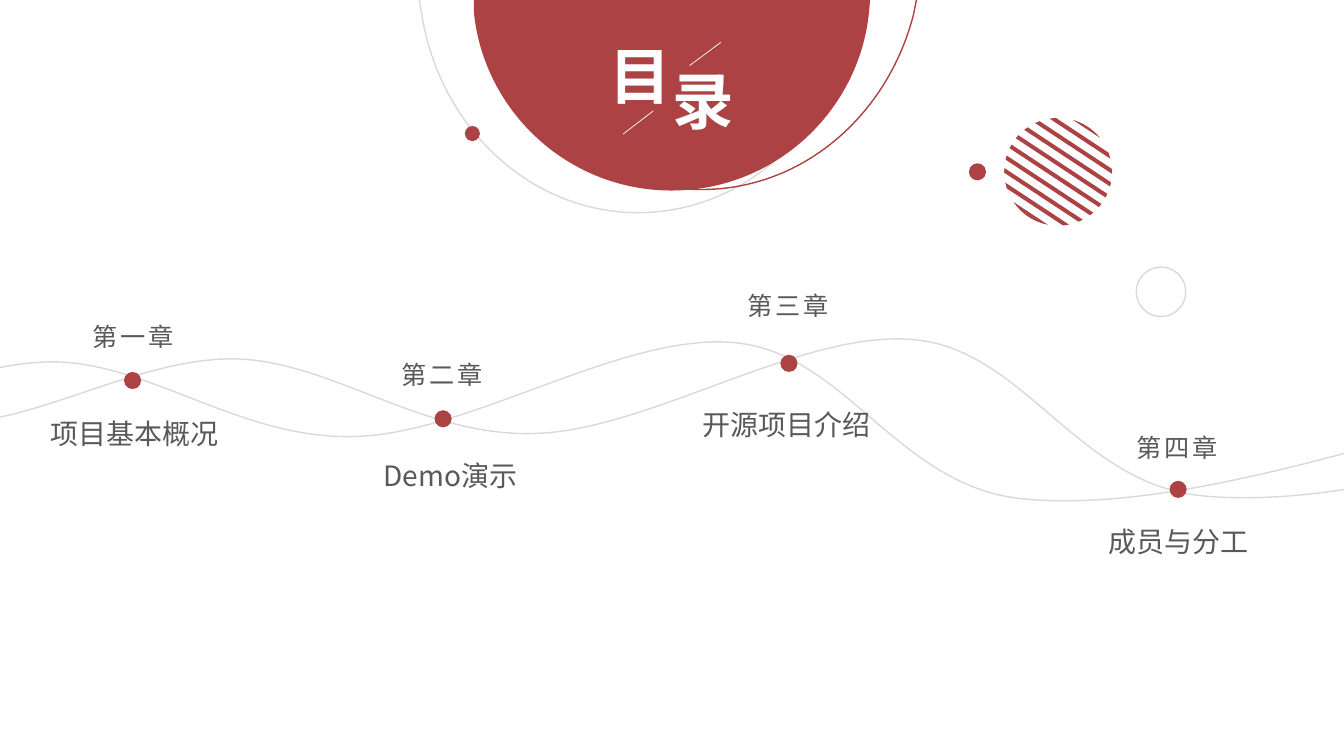
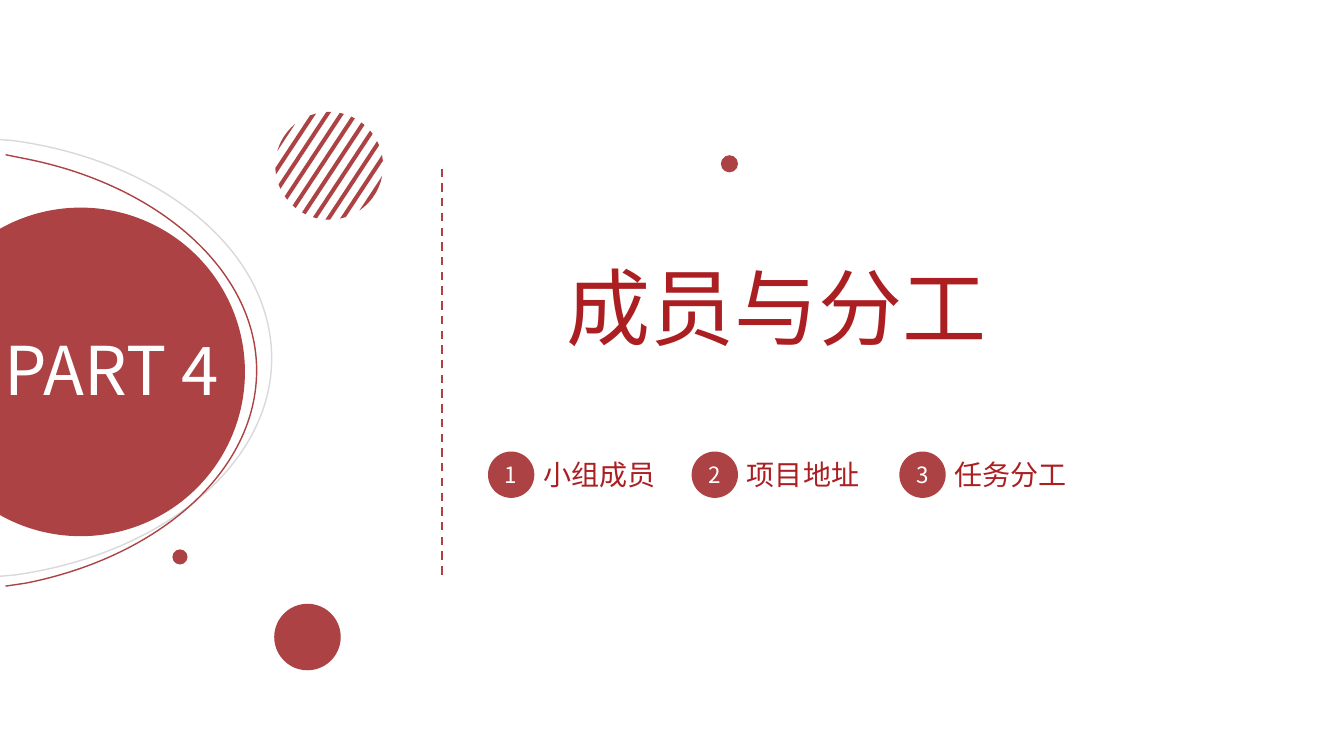
import math
import pptx
import pptx.util
import pptx.dml.color
import pptx.enum.dml
import pptx.enum.shapes
import pptx.enum.text
import pptx.oxml.ns
from lxml import etree

PX = 9144
W, H = 1333, 750
FONT = "Noto Sans CJK SC"
RED, CRIMSON, GREY, TEXT, WHITE = "AC4243", "AB1E21", "D9D9D9", "595959", "FFFFFF"
ALIGN = pptx.enum.text.PP_ALIGN

CHAPTERS = [
    ("第一章", (80, 314, 104, 40), (123, 369), "项目基本概况", (40, 408, 187, 44), False),
    ("第二章", (387, 352, 103, 40), (431, 407), "Demo演示", (343, 450, 208, 44), True),
    ("第三章", (730, 283, 103, 40), (774, 352), "开源项目介绍", (676, 399, 208, 44), True),
    ("第四章", (1116, 424, 103, 40), (1160, 477), "成员与分工", (1089, 515, 159, 44), False),
]
TITLE_CHARS = [("目", 593, 33), ("录", 656, 58)]
TITLE_STROKES = [(618, 133, 648, 110), (684, 65, 715, 42)]
TOPICS = [("小组成员", 484), ("项目地址", 686), ("任务分工", 892)]

WAVE = [
    (-270, 344),
    (-201, 380, -132, 417, -49, 419), (35, 421, 136, 355, 233, 356),
    (329, 358, 419, 434, 531, 430), (644, 427, 797, 326, 907, 337),
    (1017, 347, 1069, 481, 1194, 492), (1319, 504, 1487, 455, 1656, 406),
]
WAVE_SHIFTS = [(0, 0), (-178, 3)]
GREY_BOWL = [(850, 0), (848, 18), (828, 128, 739, 211, 633, 211),
             (527, 211, 438, 128, 419, 18), (416, 0)]
RED_BOWL = [(909, 0), (906, 15), (880, 115, 796, 188, 696, 188),
            (597, 188, 513, 115, 486, 15), (483, 0)]
TITLE_DISC = [(470, 0), (863, 0), (862, 12), (852, 111, 768, 189, 666, 189),
              (564, 189, 480, 111, 470, 12)]
GREY_ARC = [(347, 215), (345, 239), (325, 385, 236, 495, 129, 495),
            (23, 495, -66, 385, -86, 239), (-88, 215)]
RED_ARC = [(344, 243), (340, 263), (314, 395, 229, 492, 130, 492),
           (30, 492, -55, 395, -81, 263), (-84, 243)]


def px(n):
    return round(n * PX)


def rgb(value):
    return pptx.dml.color.RGBColor.from_string(value)


def paint(sp, fill=None, line=None, width=1):
    sp.shadow.inherit = False
    if fill:
        sp.fill.solid()
        sp.fill.fore_color.rgb = rgb(fill)
    else:
        sp.fill.background()
    if line:
        sp.line.color.rgb = rgb(line)
        sp.line.width = pptx.util.Pt(width)
    else:
        sp.line.fill.background()


def write(tf, text, size, color, align=ALIGN.CENTER, bold=False, spacing=0):
    p = tf.paragraphs[0]
    p.alignment = align
    r = p.add_run()
    r.text = text
    r.font.size = pptx.util.Pt(size)
    r.font.bold = bold
    r.font.name = FONT
    r.font.color.rgb = rgb(color)
    rpr = r.font._element
    etree.SubElement(rpr, pptx.oxml.ns.qn("a:ea")).set("typeface", FONT)
    if spacing:
        rpr.set("spc", str(spacing * 100))


def add_text(s, box, text, size, color, wrap=False, **style):
    tf = s.shapes.add_textbox(*map(px, box)).text_frame
    tf.word_wrap = wrap
    tf.auto_size = pptx.enum.text.MSO_AUTO_SIZE.SHAPE_TO_FIT_TEXT
    write(tf, text, size, color, **style)


def add_circle(s, x, y, d, fill=RED, line=None):
    sp = s.shapes.add_shape(pptx.enum.shapes.MSO_SHAPE.OVAL, px(x), px(y), px(d), px(d))
    paint(sp, fill, line)
    return sp


def add_line(s, ends, color, width, dash=None):
    cn = s.shapes.add_connector(pptx.enum.shapes.MSO_CONNECTOR.STRAIGHT, *map(px, ends))
    cn.line.color.rgb = rgb(color)
    cn.line.width = pptx.util.Pt(width)
    if dash:
        cn.line.dash_style = dash
    etree.SubElement(cn._element.spPr, pptx.oxml.ns.qn("a:effectLst"))


def add_outline(s, contours, closed=False, rotation=0, **style):
    anchors = [[(px(step[-2]), px(step[-1])) for step in steps] for steps in contours]
    fb = s.shapes.build_freeform(*anchors[0][0], scale=1.0)
    for i, points in enumerate(anchors):
        if i:
            fb.move_to(*points[0])
        fb.add_line_segments(points[1:], close=closed)
    sp = fb.convert_to_shape()
    bend(sp, [step for steps in contours for step in steps[1:]])
    paint(sp, **style)
    sp.rotation = rotation


def bend(sp, steps):
    segments = list(sp._element.iter(pptx.oxml.ns.qn("a:lnTo")))
    for segment, step in zip(segments, steps):
        if len(step) == 6:
            curve = etree.Element(pptx.oxml.ns.qn("a:cubicBezTo"))
            for x, y in zip(step[::2], step[1::2]):
                pt = etree.SubElement(curve, pptx.oxml.ns.qn("a:pt"))
                pt.set("x", str(px(x) - sp.left))
                pt.set("y", str(px(y) - sp.top))
            segment.getparent().replace(segment, curve)


def add_striped_disc(s, x, y, rotation, d=107, first=-55, pitch=11.6, thick=4, bands=10):
    radius = d / 2
    contours = []
    for k in range(bands):
        top = first + k * pitch
        low, high = (math.asin(max(-1, min(1, v / radius))) for v in (top, top + thick))
        cuts = 3 if k in (0, bands - 1) else 1
        angles = [low + (high - low) * i / cuts for i in range(cuts + 1)]
        right = [(radius * math.cos(a), radius * math.sin(a)) for a in angles]
        left = [(-u, v) for u, v in reversed(right)]
        contours.append([(x + radius + u, y + radius + v) for u, v in right + left])
    add_outline(s, contours, closed=True, rotation=rotation, fill=RED)


def build_contents(s):
    add_striped_disc(s, 996, 117, 33.4)
    for shift in WAVE_SHIFTS:
        wave = [tuple(n + shift[i % 2] for i, n in enumerate(step)) for step in WAVE]
        add_outline(s, [wave], line=GREY)
    add_circle(s, 961, 162, 17)
    add_outline(s, [GREY_BOWL], line=GREY)
    add_outline(s, [RED_BOWL], line=RED)
    add_outline(s, [TITLE_DISC], closed=True, fill=RED)
    for char, x, y in TITLE_CHARS:
        add_text(s, (x, y, 84, 84), char, 44, WHITE, bold=True)
    for stroke in TITLE_STROKES:
        add_line(s, stroke, WHITE, 0.5)
    add_circle(s, 461, 125, 15)
    add_circle(s, 1127, 265, 49, WHITE, GREY)
    for label, label_box, dot, name, name_box, wrap in CHAPTERS:
        add_text(s, label_box, label, 18, TEXT, spacing=2)
        add_circle(s, *dot, 17)
        add_text(s, name_box, name, 20, TEXT, wrap=wrap)


def build_part(s):
    add_outline(s, [GREY_ARC], rotation=270, line=GREY)
    add_outline(s, [RED_ARC], rotation=270, line=RED)
    add_circle(s, -83, 206, 326)
    add_line(s, (438, 570, 438, 163), RED, 1.5, pptx.enum.dml.MSO_LINE.DASH)
    add_text(s, (552, 249, 437, 111), "成员与分工", 60, CRIMSON)
    for number, (topic, x) in enumerate(TOPICS, 1):
        add_text(s, (x + 45, 449, 131, 44), topic, 20, CRIMSON, align=ALIGN.LEFT)
        tf = add_circle(s, x, 448, 46).text_frame
        tf.margin_left = tf.margin_right = tf.margin_top = tf.margin_bottom = 0
        tf.vertical_anchor = pptx.enum.text.MSO_ANCHOR.MIDDLE
        write(tf, str(number), 16, WHITE)
    add_striped_disc(s, 273, 111, 303.4)
    for x, y, d in [(715, 154, 17), (171, 545, 15)]:
        add_circle(s, x, y, d).rotation = 270
    add_text(s, (-5, 321, 259, 172), "PART 4", 48, WHITE, wrap=True, align=ALIGN.LEFT)
    add_circle(s, 272, 599, 66)


def main():
    prs = pptx.Presentation()
    prs.slide_width, prs.slide_height = px(W), px(H)
    for build in (build_contents, build_part):
        build(prs.slides.add_slide(prs.slide_layouts[6]))
    prs.save("out.pptx")


if __name__ == "__main__":
    main()
